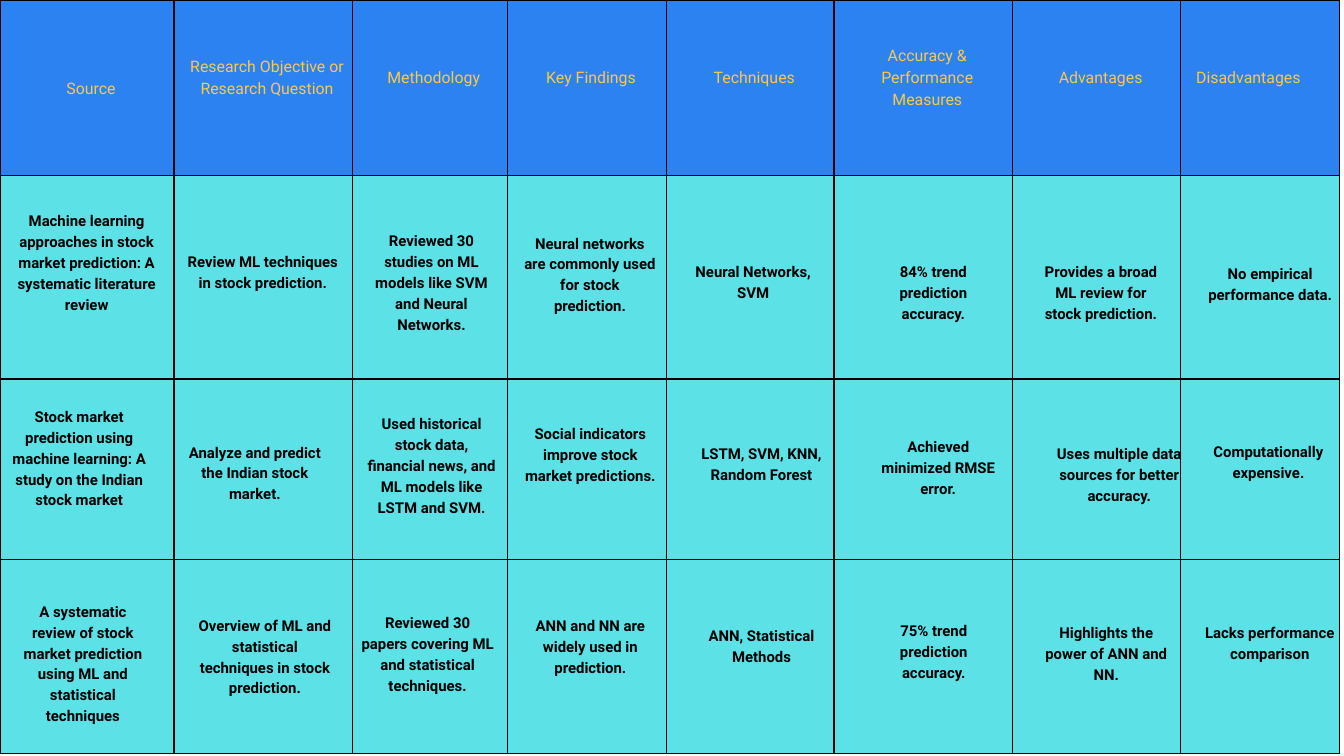
from lxml import etree
from pptx import Presentation
from pptx.dml.color import RGBColor
from pptx.enum.text import MSO_ANCHOR, PP_ALIGN
from pptx.oxml.ns import qn
from pptx.util import Cm, Pt

CENTER, LEFT = PP_ALIGN.CENTER, PP_ALIGN.LEFT
MIDDLE = MSO_ANCHOR.MIDDLE

COLORS = {"header": "2C82F0", "body": "5CE1E6", "heading": "FACA49", "ink": "000000"}
FONT = "Roboto"
COLUMN_WIDTHS = [6.58, 6.73, 5.87, 6.02, 6.32, 6.76, 6.35, 5.99]
ROW_HEIGHTS = [6.63, 7.7, 6.83, 7.34]
PADDING = 0.28
HEADING_INDENT = 0.3
HEADING_LIFT = 0.84
NOTE_LINE = 0.775

HEADINGS = [
    "Source",
    "Research Objective or\nResearch Question",
    "Methodology",
    "Key Findings",
    "Techniques",
    "Accuracy &\nPerformance Measures",
    "Advantages",
    "Disadvantages",
]

# text, left, top, width, lines
STUDIES = [
    [
        ("Machine learning approaches in stock market prediction: A systematic literature review",
         0.61, 7.9, 5.33, 6),
        ("Review ML techniques in stock prediction.", 6.99, 9.45, 5.89, 3),
        ("Reviewed 30 studies on ML models like SVM and Neural Networks.", 13.92, 8.66, 4.78, 5),
        ("Neural networks are commonly used for stock prediction.", 19.76, 8.74, 5.08, 4),
        ("Neural Networks, SVM", 25.93, 9.83, 5.08, 2),
        ("84% trend prediction accuracy.", 32.74, 9.83, 5.08, 3),
        ("Provides a broad ML review for stock prediction.", 39.29, 9.83, 4.65, 3),
        ("No empirical performance data.", 45.47, 9.88, 5.08, 3),
    ],
    [
        ("Stock market prediction using machine learning: A study on the Indian stock market",
         0.33, 15.29, 5.33, 6),
        ("Analyze and predict the Indian stock market.", 7.11, 16.64, 5.05, 4),
        ("Used historical stock data, financial news, and ML models like LSTM and SVM.",
         13.79, 15.57, 5.05, 6),
        ("Social indicators improve stock market predictions.", 19.79, 15.95, 5.05, 4),
        ("LSTM, SVM, KNN, Random Forest", 26.26, 16.71, 5.05, 2),
        ("Achieved minimized RMSE error.", 32.94, 16.43, 5.05, 3),
        ("Uses multiple data sources for better accuracy.", 39.78, 16.71, 5.05, 3),
        ("Computationally expensive.", 45.42, 16.61, 5.05, 2),
    ],
    [
        ("A systematic review of stock market prediction using ML and statistical techniques",
         0.61, 22.66, 5.05, 6),
        ("Overview of ML and statistical techniques in stock prediction.", 7.49, 23.19, 5.05, 4),
        ("Reviewed 30 papers covering ML and statistical techniques.", 13.64, 23.09, 5.05, 4),
        ("ANN and NN are widely used in prediction.", 19.79, 23.19, 5.05, 3),
        ("ANN, Statistical Methods", 26.26, 23.57, 5.05, 2),
        ("75% trend prediction accuracy.", 32.77, 23.39, 5.05, 3),
        ("Highlights the power of ANN and NN.", 39.29, 23.47, 5.05, 3),
        ("Lacks performance comparison", 45.47, 23.47, 5.05, 3),
    ],
]


def style_text(frame, size, color, spacing, bold, align=CENTER):
    for paragraph in frame.paragraphs:
        paragraph.alignment = align
        paragraph.line_spacing = Pt(spacing)
        for run in paragraph.runs:
            run.font.name = FONT
            run.font.size = Pt(size)
            run.font.bold = bold
            run.font.color.rgb = RGBColor.from_string(COLORS[color])


def add_borders(cell):
    properties = cell._tc.get_or_add_tcPr()
    for position, side in enumerate(("a:lnL", "a:lnR", "a:lnT", "a:lnB")):
        border = etree.Element(qn(side), w=str(Pt(1.5)))
        fill = etree.SubElement(border, qn("a:solidFill"))
        etree.SubElement(fill, qn("a:srgbClr"), val=COLORS["ink"])
        properties.insert(position, border)


def add_grid(slide):
    grid = slide.shapes.add_table(
        len(ROW_HEIGHTS), len(COLUMN_WIDTHS), 0, 0,
        Cm(sum(COLUMN_WIDTHS)), Cm(sum(ROW_HEIGHTS))).table
    grid.first_row = False
    grid.horz_banding = False
    for column, width in zip(grid.columns, COLUMN_WIDTHS):
        column.width = Cm(width)
    for index, (row, height) in enumerate(zip(grid.rows, ROW_HEIGHTS)):
        row.height = Cm(height)
        for cell in row.cells:
            cell.fill.solid()
            cell.fill.fore_color.rgb = RGBColor.from_string(
                COLORS["body" if index else "header"])
            add_borders(cell)
    return grid


def add_headings(grid):
    for column, heading in enumerate(HEADINGS):
        cell = grid.cell(0, column)
        cell.text_frame.text = heading
        cell.vertical_anchor = MIDDLE
        cell.margin_left = Cm(PADDING + HEADING_INDENT)
        cell.margin_right = cell.margin_top = Cm(PADDING)
        cell.margin_bottom = Cm(PADDING + (HEADING_LIFT if column else 0))
        align = LEFT if heading == "Disadvantages" else CENTER
        style_text(cell.text_frame, 17, "heading", 23.8, False, align)


def add_note(slide, text, left, top, width, lines):
    frame = slide.shapes.add_textbox(
        Cm(left), Cm(top), Cm(width), Cm(lines * NOTE_LINE)).text_frame
    frame.margin_left = frame.margin_right = frame.margin_top = frame.margin_bottom = 0
    frame.word_wrap = True
    frame.text = text
    style_text(frame, 16, "ink", 22.4, True)


def main():
    deck = Presentation()
    deck.slide_width, deck.slide_height = Cm(50.8), Cm(28.58)
    slide = deck.slides.add_slide(deck.slide_layouts[6])
    add_headings(add_grid(slide))
    for study in STUDIES:
        for note in study:
            add_note(slide, *note)
    deck.save("out.pptx")


if __name__ == "__main__":
    main()
